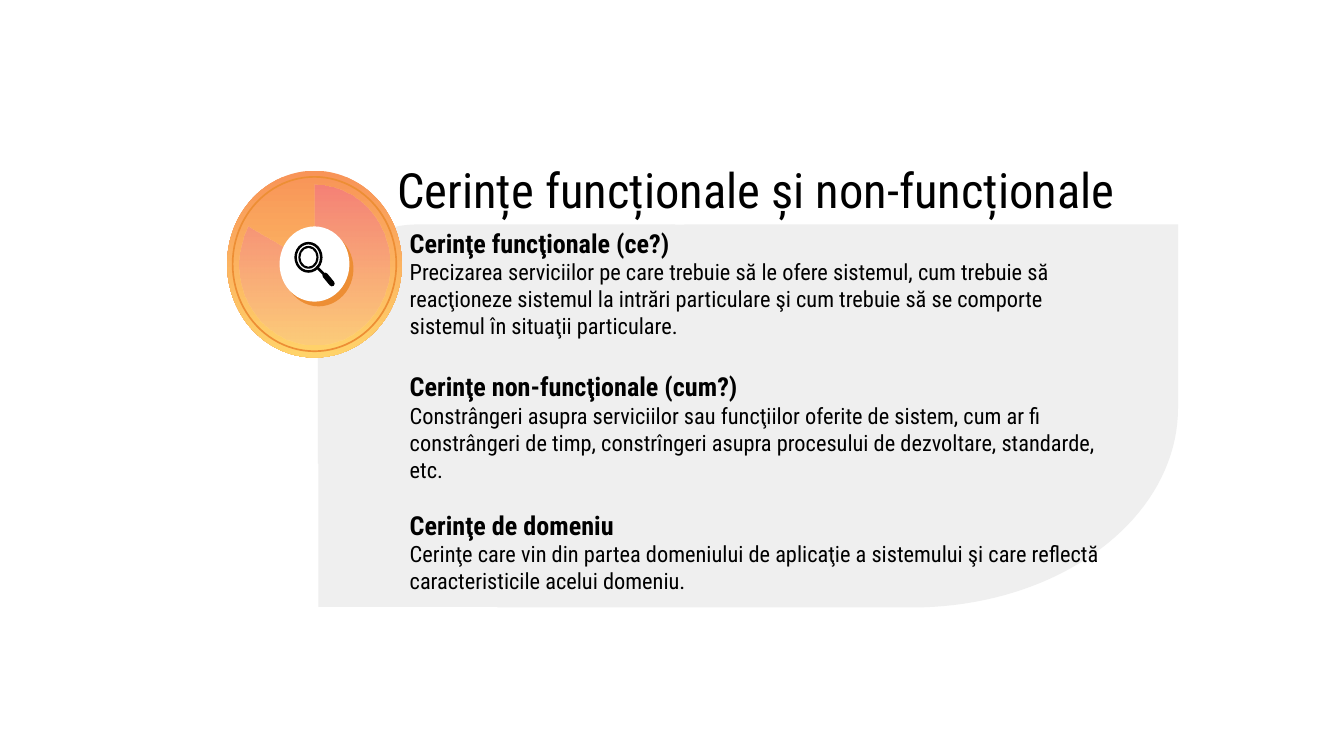
from dataclasses import dataclass
from math import cos, pi, sin

from lxml import etree
from pptx import Presentation
from pptx.dml.color import RGBColor
from pptx.enum.shapes import MSO_CONNECTOR, MSO_SHAPE
from pptx.enum.text import MSO_ANCHOR, PP_ALIGN
from pptx.oxml.ns import qn
from pptx.util import Emu, Inches, Pt

OVAL, DONUT, PIE = MSO_SHAPE.OVAL, MSO_SHAPE.DONUT, MSO_SHAPE.PIE
STRAIGHT = MSO_CONNECTOR.STRAIGHT
CENTER, LEFT = PP_ALIGN.CENTER, PP_ALIGN.LEFT
TOP, MIDDLE = MSO_ANCHOR.TOP, MSO_ANCHOR.MIDDLE

GRAY = RGBColor(0xEF, 0xEF, 0xEF)
BLACK = RGBColor(0, 0, 0)
WHITE = RGBColor(0xFF, 0xFF, 0xFF)
AMBER = RGBColor(0xED, 0x8E, 0x34)
ORANGE = RGBColor(0xF8, 0x94, 0x58)
YELLOW = RGBColor(0xFF, 0xD3, 0x6A)
MAGENTA = RGBColor(0xEB, 0x44, 0xC5)
PEACH = RGBColor(0xF6, 0xC0, 0xA9)
FONT = "Roboto Condensed"

COLS, ROWS = 100, 56.25  # grid of the slide, one cell is 0.1 inch
DEGREE = 0.6  # one degree in the units of a pie's adjustments


def cell(n: float) -> Emu:
    return Inches(n / 10)


@dataclass
class Box:
    col: float
    row: float
    cols: float
    rows: float

    def emu(self) -> tuple:
        return tuple(cell(n) for n in (self.col, self.row, self.cols, self.rows))


@dataclass
class Round:
    """Ellipse-based part given by its centre and size."""
    kind: int
    col: float
    row: float
    cols: float
    rows: float
    colors: tuple
    adjust: tuple = ()
    alpha: tuple = ()


@dataclass
class Line:
    text: str
    size: float
    bold: bool = False
    before: float = 0


PANELS = [Box(37, 16.7, 50.65, 28.5), Box(23.7, 27.4, 33.7, 17.75),
          Box(23.65, 16.7, 26.6, 17.8)]

HUB = (23.4, 19.65)
LENS = (22.95, 19.15)
BADGE = [
    Round(OVAL, *HUB, 13, 13.9, (ORANGE, YELLOW)),
    Round(DONUT, *HUB, 12.3, 13.1, (AMBER,), (0.01,)),
    Round(PIE, *HUB, 11.2, 11.9, (MAGENTA, PEACH), (270 * DEGREE, 210 * DEGREE), (27, 26)),
    Round(OVAL, 23.7, 20, 5.2, 5.6, (AMBER,)),
    Round(OVAL, *HUB, 5.2, 5.6, (WHITE,)),
    Round(DONUT, *LENS, 1.5, 1.7, (BLACK,), (0.1,)),
    Round(DONUT, *LENS, 2.1, 2.3, (BLACK,), (0.09,)),
]
# Magnifier handle: start, end, width in points
HANDLE = [((23.6, 19.9), (24.2, 20.5), 1.5), ((24.2, 20.5), (24.7, 21.1), 3)]

TITLE = [Line("Cerințe funcționale și non-funcționale", 26)]
BODY = [
    Line("Cerinţe funcţionale (ce?)", 14, True),
    Line("Precizarea serviciilor pe care trebuie să le ofere sistemul, cum trebuie să "
         "reacţioneze sistemul la intrări particulare şi cum trebuie să se comporte "
         "sistemul în situaţii particulare.", 12),
    Line("Cerinţe non-funcţionale (cum?)", 14, True, 17),
    Line("Constrângeri asupra serviciilor sau funcţiilor oferite de sistem, cum ar fi "
         "constrângeri de timp, constrîngeri asupra procesului de dezvoltare, "
         "standarde, etc.", 12),
    Line("Cerinţe de domeniu", 14, True, 14),
    Line("Cerinţe care vin din partea domeniului de aplicaţie a sistemului şi care "
         "reflectă", 12),
    Line("caracteristicile acelui domeniu.", 12),
]


def paint(s, colors: tuple, alpha: tuple = ()) -> None:
    s.shadow.inherit = False
    s.line.fill.background()
    if len(colors) == 1:
        s.fill.solid()
        s.fill.fore_color.rgb = colors[0]
        return
    s.fill.gradient()
    s.fill.gradient_angle = 270
    for stop, color in zip(s.fill.gradient_stops, colors):
        stop.color.rgb = color
    for clr, percent in zip(s._element.spPr.iter(qn("a:srgbClr")), alpha):
        etree.SubElement(clr, qn("a:alpha")).set("val", str(percent * 1000))


def arc(cx: float, cy: float, rx: float, ry: float, start: float, steps: int = 40) -> list:
    """Points of a quarter ellipse, clockwise from the start angle."""
    angles = [start + pi / 2 * i / steps for i in range(steps + 1)]
    return [(cell(cx + rx * cos(a)), cell(cy + ry * sin(a))) for a in angles]


def add_panel(shapes, b: Box) -> None:
    """Panel with rounded top-left and bottom-right corners."""
    right, bottom = b.col + b.cols, b.row + b.rows
    rx, ry = 0.28 * b.cols, 0.37 * b.rows
    wide, tall = 0.39 * b.cols, 0.52 * b.rows
    points = arc(b.col + rx, b.row + ry, rx, ry, pi)
    points.append((cell(right), cell(b.row)))
    points += arc(right - wide, bottom - tall, wide, tall, 0)
    points.append((cell(b.col), cell(bottom)))
    builder = shapes.build_freeform(*points[0])
    builder.add_line_segments(points[1:], close=True)
    paint(builder.convert_to_shape(), (GRAY,))


def add_round(shapes, d: Round) -> None:
    box = Box(d.col - d.cols / 2, d.row - d.rows / 2, d.cols, d.rows)
    s = shapes.add_shape(d.kind, *box.emu())
    for i, value in enumerate(d.adjust):
        s.adjustments[i] = value
    paint(s, d.colors, d.alpha)


def add_stroke(shapes, start: tuple, end: tuple, width: float) -> None:
    s = shapes.add_connector(STRAIGHT, *(cell(n) for n in start + end))
    s.line.color.rgb = BLACK
    s.line.width = Pt(width)
    s.line._get_or_add_ln().set("cap", "rnd")
    etree.SubElement(s._element.spPr, qn("a:effectLst"))


def add_text(shapes, b: Box, lines: list, align: int, anchor: int) -> None:
    tf = shapes.add_textbox(*b.emu()).text_frame
    tf.word_wrap = True
    tf.vertical_anchor = anchor
    tf.margin_left = tf.margin_right = tf.margin_top = tf.margin_bottom = cell(1)
    for i, line in enumerate(lines):
        p = tf.add_paragraph() if i else tf.paragraphs[0]
        p.alignment = align
        p.space_before = Pt(line.before)
        r = p.add_run()
        r.text = line.text
        r.font.name, r.font.size, r.font.bold = FONT, Pt(line.size), line.bold
        r.font.color.rgb = BLACK


def main() -> None:
    prs = Presentation()
    prs.slide_width, prs.slide_height = cell(COLS), cell(ROWS)
    shapes = prs.slides.add_slide(prs.slide_layouts[6]).shapes

    # Gray backdrop
    for panel in PANELS:
        add_panel(shapes, panel)
    # Round badge with magnifier
    for part in BADGE:
        add_round(shapes, part)
    for stroke in HANDLE:
        add_stroke(shapes, *stroke)
    # Title and body
    add_text(shapes, Box(21.9, 10.9, 68.8, 6.3), TITLE, CENTER, TOP)
    add_text(shapes, Box(29.5, 18, 54.1, 25.1), BODY, LEFT, MIDDLE)

    prs.save("out.pptx")


if __name__ == "__main__":
    main()
